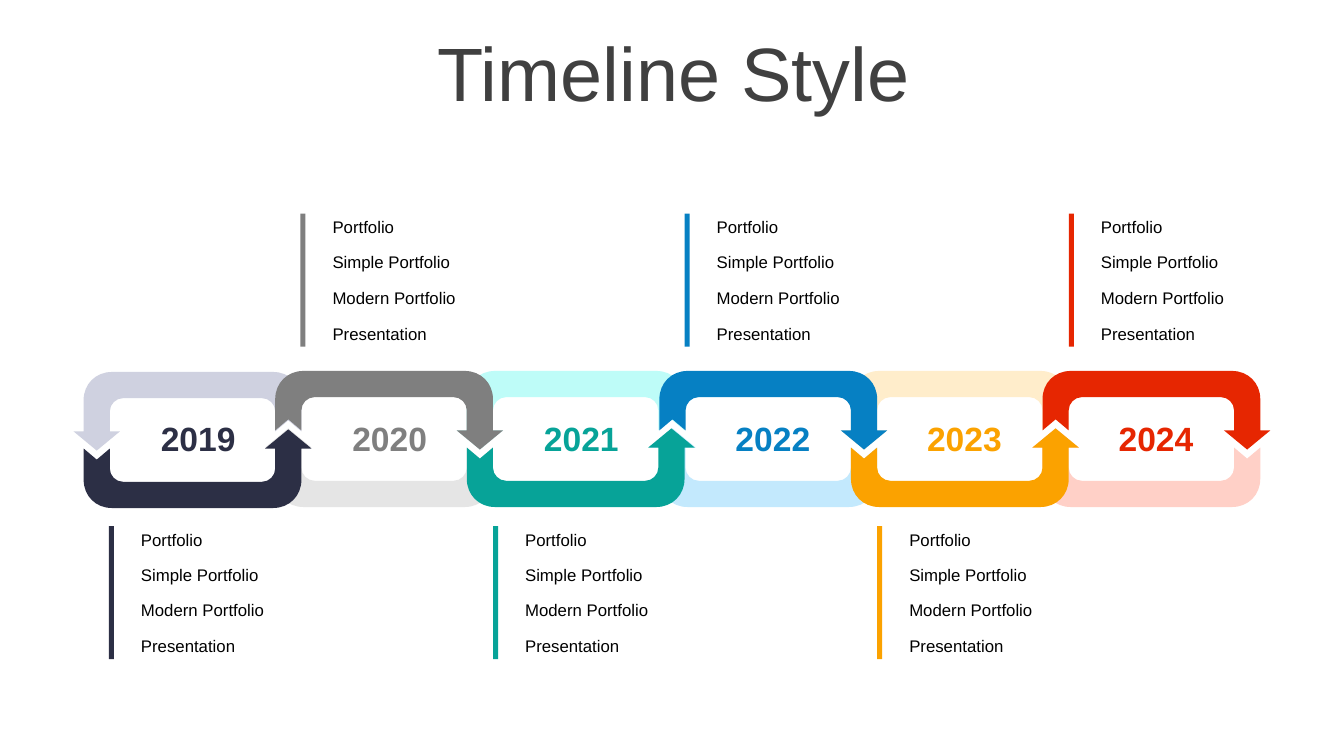
import pptx
import pptx.util
import pptx.dml.color
import pptx.enum.shapes
import pptx.enum.text
import pptx.oxml
import pptx.oxml.ns

PX = 9144
HUES = {
    "2019": ("2C2F45", "CFD1E0"),
    "2020": ("7F7F7F", "E5E5E5"),
    "2021": ("07A398", "BEFCF8"),
    "2022": ("0680C3", "C3E9FD"),
    "2023": ("FBA200", "FFEDCB"),
    "2024": ("E62601", "FFD0C7"),
}
INK = {"title": "404040", "label": "000000"}
LABELS = ["Portfolio", "Simple Portfolio", "Modern Portfolio", "Presentation"]
WIDE, HIGH = 216, 135
HOOK = [
    (203, 78), (226, 59), (216, 59), (216, 28),
    (216, 12), (204, 0), (188, 0), (28, 0),
    (12, 0), (0, 12), (0, 28), (0, 59), (13, 48), (26, 59), (26, 39),
    (26, 32), (32, 26), (39, 26), (177, 26),
    (184, 26), (190, 32), (190, 39), (190, 59), (180, 59),
]
CURVES = [4, 8, 15, 19]

deck = pptx.Presentation()
deck.slide_width = 1333 * PX
deck.slide_height = 750 * PX
slide = deck.slides.add_slide(deck.slide_layouts[6])


def paint(shape, hue):
    shape.shadow.inherit = False
    shape.fill.solid()
    shape.fill.fore_color.rgb = pptx.dml.color.RGBColor.from_string(hue)
    shape.line.fill.background()


def write(home, words, box, size, hue, bold=False, space=None, center=True, grow=True):
    text = home.add_textbox(*[round(n) * PX for n in box])
    frame = text.text_frame
    frame.word_wrap = True
    if center:
        frame.vertical_anchor = pptx.enum.text.MSO_ANCHOR.MIDDLE
    if grow:
        frame.auto_size = pptx.enum.text.MSO_AUTO_SIZE.SHAPE_TO_FIT_TEXT
    para = frame.paragraphs[0]
    if center:
        para.alignment = pptx.enum.text.PP_ALIGN.CENTER
    para.line_spacing = space
    run = para.add_run()
    run.text = words
    run.font.name = "Arial"
    run.font.size = pptx.util.Pt(size)
    run.font.bold = bold
    run.font.color.rgb = pptx.dml.color.RGBColor.from_string(hue)


write(slide.shapes, "Timeline Style", (35, 37, 1266, 79), 54, INK["title"],
      space=0.9, grow=False)

chain = slide.shapes.add_group_shape()
for pale in (True, False):
    for i, pair in enumerate(HUES.values()):
        left = round(83 + 190.2 * i)
        top = 369 if i == 0 else 368
        above = (i % 2 == 0) == pale
        spots = []
        for x, y in HOOK:
            x = WIDE - x if pale else x
            y = y if above else HIGH - y
            spots.append((left + x, top + y))
        form = chain.shapes.build_freeform(*spots[0], scale=PX)
        form.add_line_segments(spots[1:], close=True)
        link = form.convert_to_shape()
        paint(link, pair[pale])
        lines = list(link._element.iter(pptx.oxml.ns.qn("a:lnTo")))
        for start in CURVES:
            bend = pptx.oxml.parse_xml(
                "<a:cubicBezTo %s/>" % pptx.oxml.ns.nsdecls("a"))
            trio = lines[start - 1:start + 2]
            trio[0].addprevious(bend)
            for line in trio:
                bend.append(line[0])
                line.getparent().remove(line)

for i, (year, pair) in enumerate(HUES.items()):
    write(slide.shapes, year, (132 + 190 * i, 410, 129, 50), 24, pair[0], bold=True)

for i, pair in enumerate(HUES.values()):
    left = round(108 + 190.4 * i)
    top = 212 if i % 2 else 522
    card = slide.shapes.add_group_shape()
    for row, label in enumerate(LABELS):
        write(card.shapes, label, (left + 22, top + 2 + 35.2 * row, 157, 26), 12,
              INK["label"], space=0.8, center=False)
    bar = card.shapes.add_shape(pptx.enum.shapes.MSO_SHAPE.RECTANGLE,
                                left * PX, top * PX, 5 * PX, 132 * PX)
    paint(bar, pair[0])

deck.save("out.pptx")
